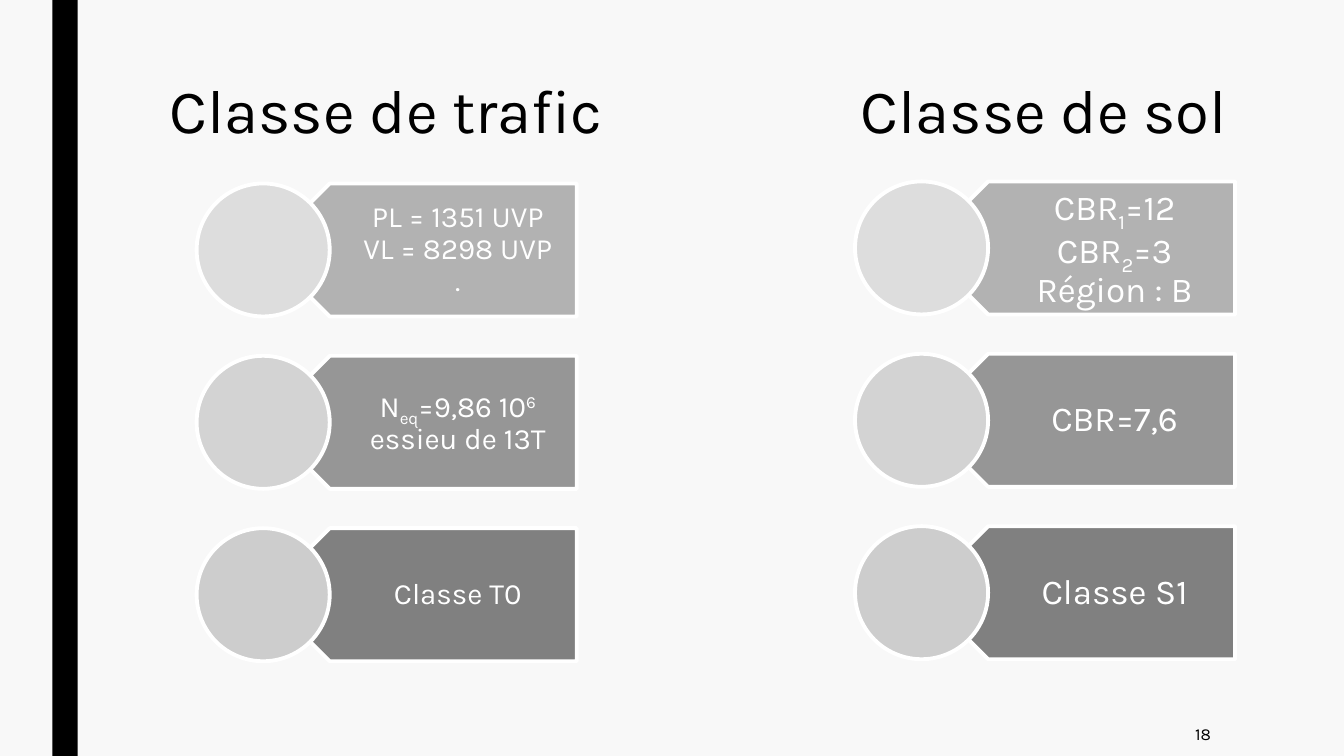
from pptx import Presentation
from pptx.dml.color import RGBColor
from pptx.enum.shapes import MSO_SHAPE
from pptx.enum.text import MSO_ANCHOR, PP_ALIGN
from pptx.util import Inches, Pt

COLORS = {
    "background": "F8F8F8", "ink": "000000", "white": "FFFFFF",
    "plates": ["B2B2B2", "969696", "808080"],
    "discs": ["DDDDDD", "D3D3D3", "CDCDCD"],
}
BASELINES = {"sub": "-25000", "sup": "30000"}
ROW_PITCH = 1.71
DISC = 1.32
PLATE_WIDTH = 3.11
LABEL_WIDTH = 2.78

deck = Presentation()
deck.slide_width, deck.slide_height = Inches(13.33), Inches(7.5)
slide = deck.slides.add_slide(deck.slide_layouts[6])
slide.background.fill.solid()
slide.background.fill.fore_color.rgb = RGBColor.from_string(COLORS["background"])


def add_block(kind, box, fill, outline=None):
    block = slide.shapes.add_shape(kind, *map(Inches, box))
    block.shadow.inherit = False
    block.fill.solid()
    block.fill.fore_color.rgb = RGBColor.from_string(fill)
    if outline:
        block.line.color.rgb = RGBColor.from_string(outline)
        block.line.width = Pt(2.75)
    else:
        block.line.fill.background()
    return block


def add_label(box, lines, size, color, align=PP_ALIGN.CENTER,
              anchor=MSO_ANCHOR.MIDDLE, insets=(0.1, 0.05, 0.1, 0.05), spacing=0.9):
    frame = slide.shapes.add_textbox(*map(Inches, box)).text_frame
    left, top, right, bottom = map(Inches, insets)
    layout = {"word_wrap": True, "vertical_anchor": anchor, "margin_left": left,
              "margin_top": top, "margin_right": right, "margin_bottom": bottom}
    for name, value in layout.items():
        setattr(frame, name, value)
    paragraph = frame.paragraphs[0]
    paragraph.alignment, paragraph.line_spacing = align, spacing
    for index, line in enumerate(lines):
        if index:
            paragraph.add_line_break()
        for text, level in line:
            run = paragraph.add_run()
            run.text = text
            for name, value in {"name": "Karla", "size": Pt(size)}.items():
                setattr(run.font, name, value)
            run.font.color.rgb = RGBColor.from_string(color)
            if level:
                run.font._element.set("baseline", BASELINES[level])


add_block(MSO_SHAPE.RECTANGLE, (0.52, 0, 0.25, 7.5), COLORS["ink"])

classes = [
    {"title": "Classe de trafic", "title_left": 1.5, "left": 1.95, "top": 1.82,
     "size": 21, "insets": (0.58, 0.09, 0.16, 0.09),
     "steps": [
         [[("PL = 1351 UVP", None)], [("VL = 8298 UVP", None)], [(".", None)]],
         [[("N", None), ("eq", "sub"), ("=9,86 10", None), ("6", "sup"),
           (" essieu de 13T", None)]],
         [[("Classe T0", None)]],
     ]},
    {"title": "Classe de sol", "title_left": 8.02, "left": 8.48, "top": 1.8,
     "size": 25, "insets": (0.58, 0.1, 0.19, 0.1),
     "steps": [
         [[("CBR", None), ("1", "sub"), ("=12", None)],
          [("CBR", None), ("2", "sub"), ("=3", None)],
          [("Région : B", None)]],
         [[("CBR=7,6", None)]],
         [[("Classe S1", None)]],
     ]},
]

for column in classes:
    add_label((column["title_left"], 0.75, 4.67, 0.93), [[(column["title"], None)]],
              44, COLORS["ink"], anchor=MSO_ANCHOR.TOP, spacing=0.89)
    plate_left = column["left"] + DISC / 2
    label_left = plate_left + PLATE_WIDTH - LABEL_WIDTH
    for row, step in enumerate(column["steps"]):
        top = column["top"] + row * ROW_PITCH
        plate = add_block(MSO_SHAPE.PENTAGON, (plate_left, top, PLATE_WIDTH, DISC),
                          COLORS["plates"][row], COLORS["white"])
        plate.rotation = 180
        add_label((label_left, top, LABEL_WIDTH, DISC), step, column["size"],
                  COLORS["white"], insets=column["insets"])
        add_block(MSO_SHAPE.OVAL, (column["left"], top, DISC, DISC),
                  COLORS["discs"][row], COLORS["white"])

add_label((10.36, 7.06, 1.75, 0.44), [[("18", None)]], 12, COLORS["ink"],
          align=PP_ALIGN.RIGHT, spacing=1.0)

deck.save("out.pptx")
